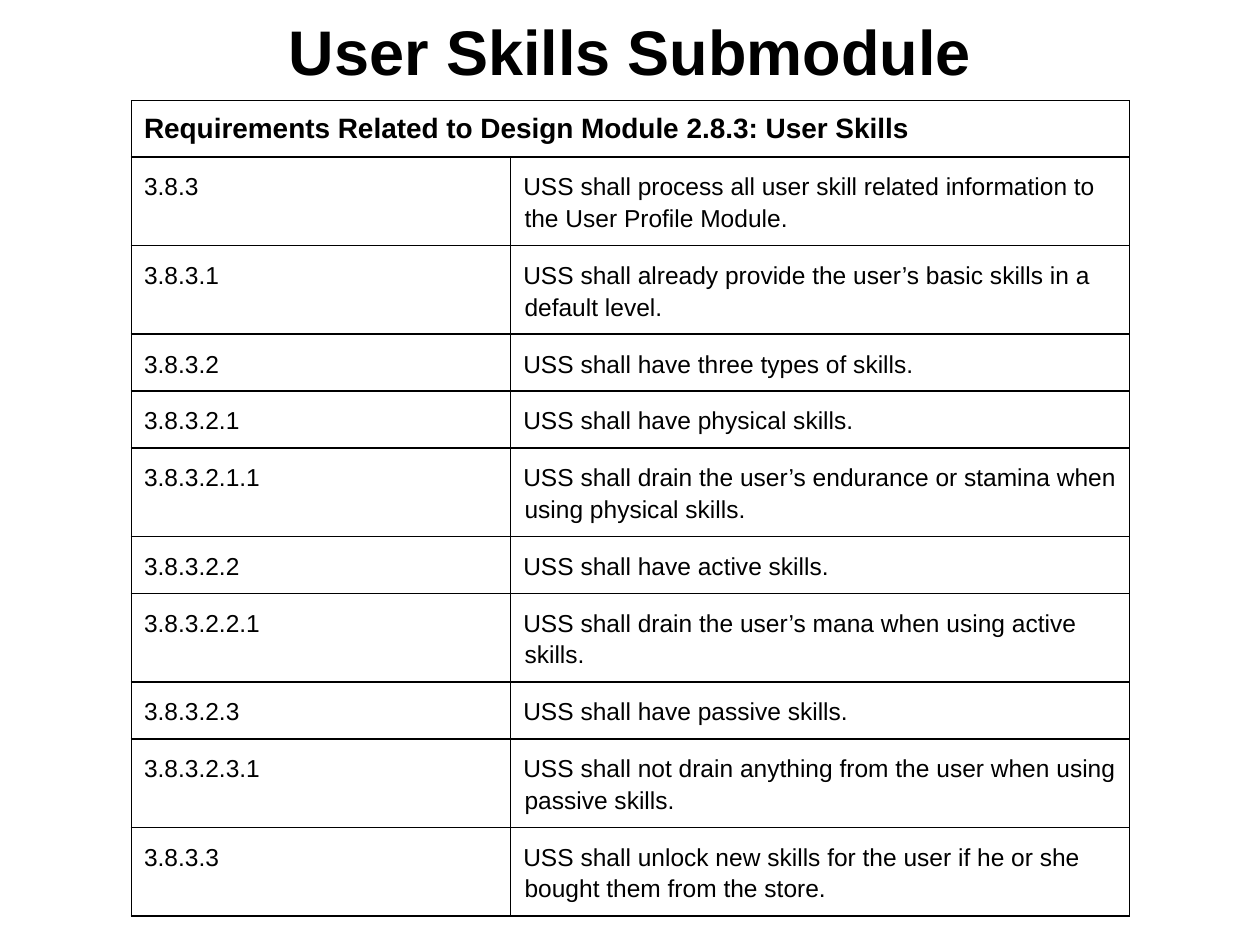
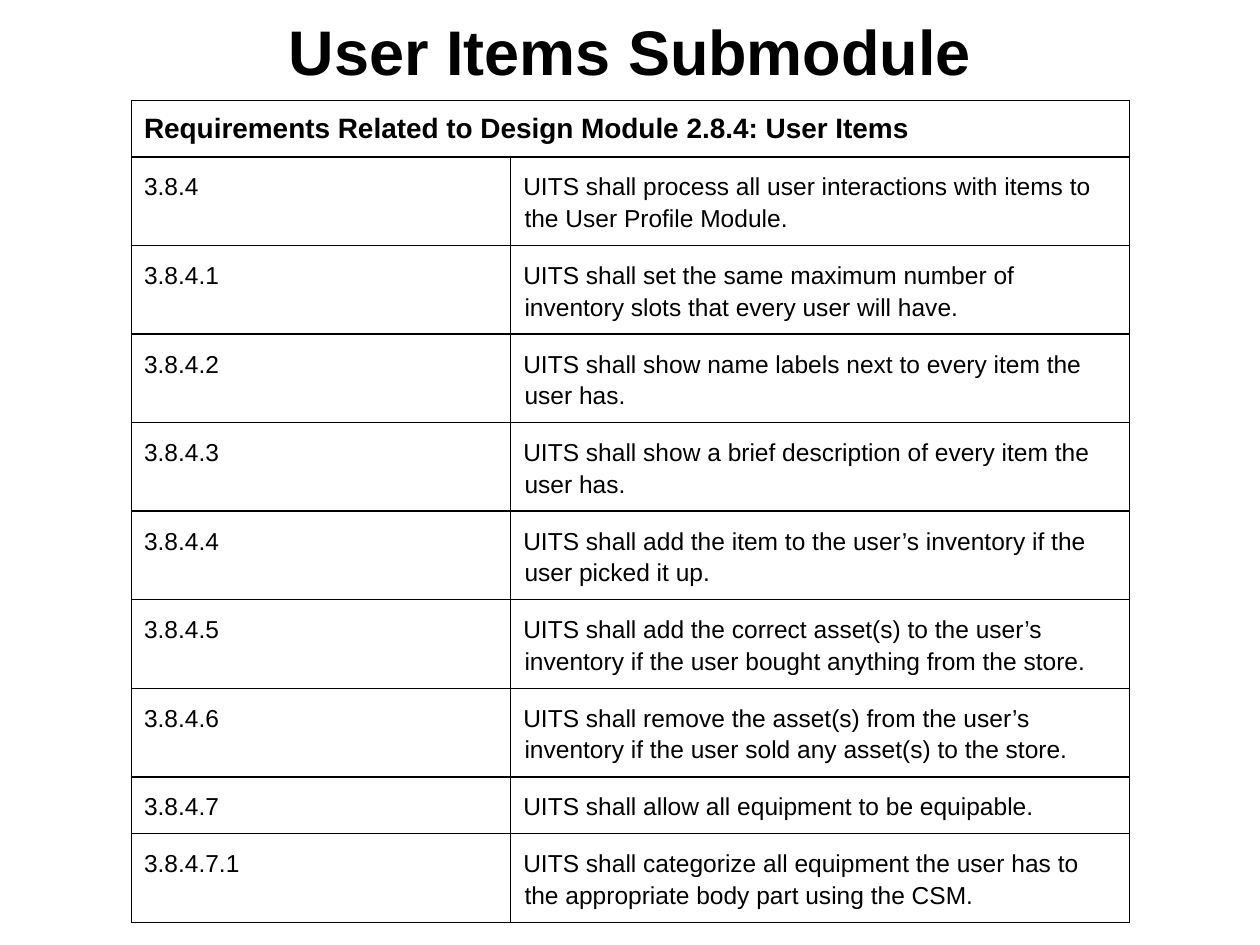
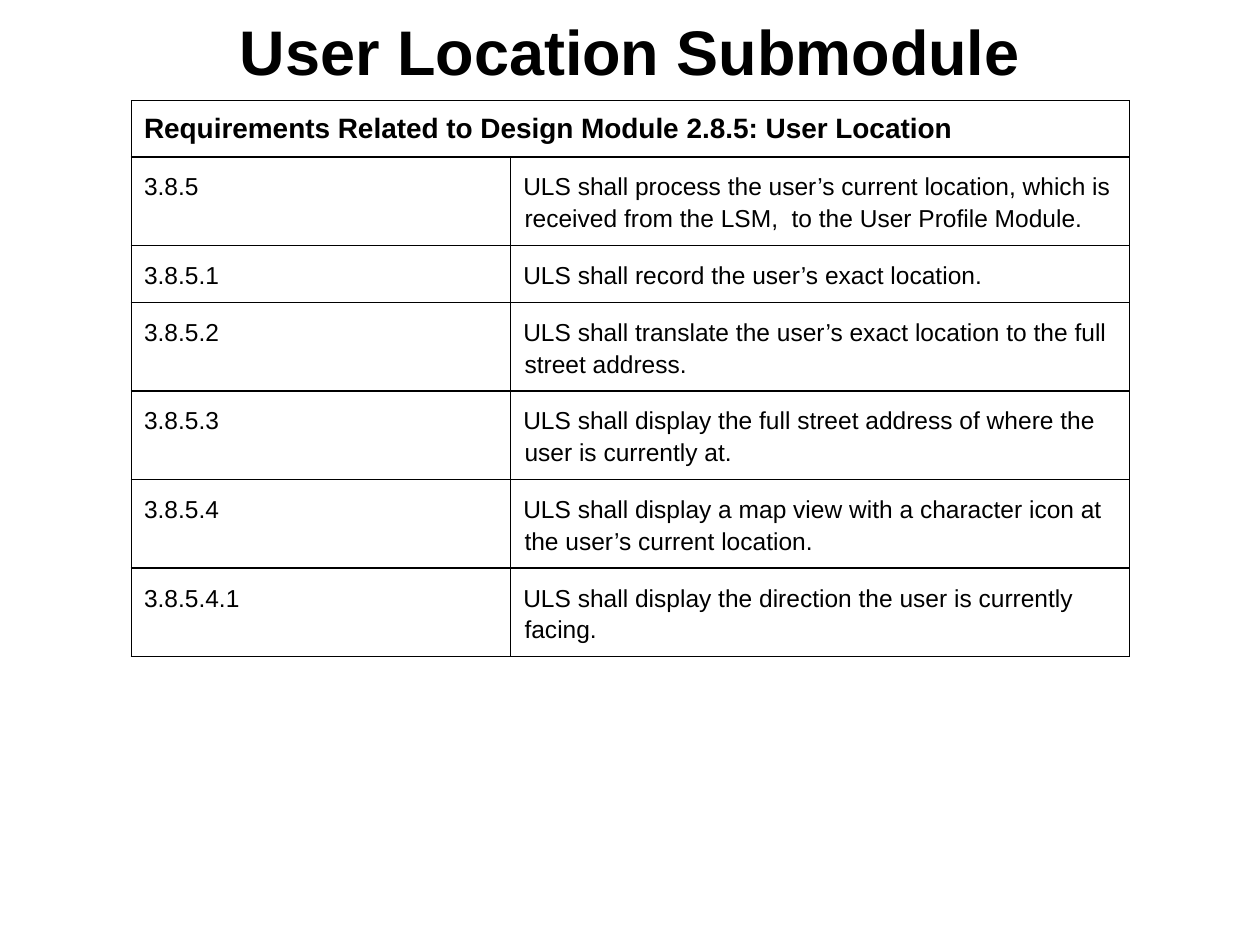
from dataclasses import dataclass
from typing import NamedTuple

from lxml.etree import SubElement
from pptx import Presentation
from pptx.dml.color import RGBColor
from pptx.enum.text import MSO_ANCHOR, MSO_AUTO_SIZE, PP_ALIGN
from pptx.oxml.ns import qn
from pptx.util import Emu, Inches, Pt

SLIDE_WIDTH, SLIDE_HEIGHT = Inches(10), Inches(7.5)
GRID_COLUMNS = 200
TITLE_ONLY_LAYOUT = 5


def grid(cells: float) -> Emu:
    return Emu(round(SLIDE_WIDTH * cells / GRID_COLUMNS))


@dataclass(frozen=True)
class Theme:
    font: str = "Arial"
    ink: RGBColor = RGBColor(0, 0, 0)
    paper: RGBColor = RGBColor(255, 255, 255)
    title_size: Pt = Pt(36)
    heading_size: Pt = Pt(16)
    body_size: Pt = Pt(14)
    heading_border: Pt = Pt(0.75)
    body_border: Pt = Pt(1)
    body_spacing: float = 1.15
    inset: Emu = grid(2)
    margin_left: Emu = grid(0.2)
    first_line_indent: Emu = grid(-1.6)


class Requirement(NamedTuple):
    number: str
    text: str
    lines: int = 2


@dataclass(frozen=True)
class Submodule:
    name: str
    design_module: str
    requirements: list[Requirement]


THEME = Theme()
TABLE_LEFT = 20.87
TABLE_FRAME = 65.6
TABLE_COLUMNS = [60.2, 98.2]
HEADING_TOP, HEADING_HEIGHT = 16, 8.4
REQUIREMENTS_TOP = 24.92
FIRST_LINE_HEIGHT, NEXT_LINE_HEIGHT = 4, 3.6

SUBMODULES = [
    Submodule("User Skills", "2.8.3", [
        Requirement("3.8.3", "USS shall process all user skill related information to the User Profile Module."),
        Requirement("3.8.3.1", "USS shall already provide the user’s basic skills in a default level."),
        Requirement("3.8.3.2", "USS shall have three types of skills.", 1),
        Requirement("3.8.3.2.1", "USS shall have physical skills.", 1),
        Requirement("3.8.3.2.1.1", "USS shall drain the user’s endurance or stamina when using physical skills."),
        Requirement("3.8.3.2.2", "USS shall have active skills.", 1),
        Requirement("3.8.3.2.2.1", "USS shall drain the user’s mana when using active skills."),
        Requirement("3.8.3.2.3", "USS shall have passive skills.", 1),
        Requirement("3.8.3.2.3.1", "USS shall not drain anything from the user when using passive skills."),
        Requirement("3.8.3.3", "USS shall unlock new skills for the user if he or she bought them from the store."),
    ]),
    Submodule("User Items", "2.8.4", [
        Requirement("3.8.4", "UITS shall process all user interactions with items to the User Profile Module."),
        Requirement("3.8.4.1", "UITS shall set the same maximum number of inventory slots that every user will have."),
        Requirement("3.8.4.2", "UITS shall show name labels next to every item the user has."),
        Requirement("3.8.4.3", "UITS shall show a brief description of every item the user has."),
        Requirement("3.8.4.4", "UITS shall add the item to the user’s inventory if the user picked it up."),
        Requirement("3.8.4.5", "UITS shall add the correct asset(s) to the user’s inventory "
                               "if the user bought anything from the store.", 3),
        Requirement("3.8.4.6", "UITS shall remove the asset(s) from the user’s inventory "
                               "if the user sold any asset(s) to the store.", 3),
        Requirement("3.8.4.7", "UITS shall allow all equipment to be equipable.", 1),
        Requirement("3.8.4.7.1", "UITS shall categorize all equipment the user has to "
                                 "the appropriate body part using the CSM."),
    ]),
    Submodule("User Location", "2.8.5", [
        Requirement("3.8.5", "ULS shall process the user’s current location, which is "
                             "received from the LSM,  to the User Profile Module."),
        Requirement("3.8.5.1", "ULS shall record the user’s exact location.", 1),
        Requirement("3.8.5.2", "ULS shall translate the user’s exact location to the full street address."),
        Requirement("3.8.5.3", "ULS shall display the full street address of where the user is currently at."),
        Requirement("3.8.5.4", "ULS shall display a map view with a character icon at the user’s current location."),
        Requirement("3.8.5.4.1", "ULS shall display the direction the user is currently facing."),
    ]),
]


def set_font(paragraph, size: Pt, bold: bool) -> None:
    font = paragraph.font
    font.name, font.size, font.bold = THEME.font, size, bold
    font.color.rgb = THEME.ink


def set_insets(target) -> None:
    target.margin_left = target.margin_right = THEME.inset
    target.margin_top = target.margin_bottom = THEME.inset


def set_borders(cell, width: Pt) -> None:
    properties = cell._tc.get_or_add_tcPr()
    for side in ("a:lnL", "a:lnR", "a:lnT", "a:lnB"):
        line = SubElement(properties, qn(side), w=str(width))
        fill = SubElement(line, qn("a:solidFill"))
        SubElement(fill, qn("a:srgbClr"), val=str(THEME.ink))


def add_title(slide, text: str) -> None:
    title = slide.shapes.title
    title.left, title.top, title.width, title.height = map(grid, (10, -9, 180, 25))
    frame = title.text_frame
    frame.text = text
    frame.word_wrap = True
    frame.auto_size = MSO_AUTO_SIZE.NONE
    frame.vertical_anchor = MSO_ANCHOR.BOTTOM
    set_insets(frame)
    paragraph = frame.paragraphs[0]
    paragraph.alignment = PP_ALIGN.CENTER
    set_font(paragraph, THEME.title_size, True)


def add_grid_table(slide, top: float, columns: list[float], heights: list[float],
                   texts: list[tuple[str, ...]], size: Pt, bold: bool, border: Pt):
    shape = slide.shapes.add_table(
        len(heights), len(columns), grid(TABLE_LEFT), grid(top),
        grid(sum(columns)), grid(sum(heights)))
    table = shape.table
    table.first_row = table.horz_banding = False
    for column, width in zip(table.columns, columns):
        column.width = grid(width)
    for row, height, row_texts in zip(table.rows, heights, texts):
        row.height = grid(height)
        for cell, text in zip(row.cells, row_texts):
            cell.text = text
            set_insets(cell)
            set_borders(cell, border)
            cell.fill.background()
            set_font(cell.text_frame.paragraphs[0], size, bold)
    shape.width = shape.height = grid(TABLE_FRAME)
    return table


def add_heading(slide, text: str) -> None:
    add_grid_table(slide, HEADING_TOP, [sum(TABLE_COLUMNS)], [HEADING_HEIGHT], [(text,)],
                   THEME.heading_size, True, THEME.heading_border)


def add_requirements(slide, requirements: list[Requirement]) -> None:
    heights = [FIRST_LINE_HEIGHT + NEXT_LINE_HEIGHT * (item.lines - 1) for item in requirements]
    texts = [(item.number, item.text) for item in requirements]
    table = add_grid_table(slide, REQUIREMENTS_TOP, TABLE_COLUMNS, heights, texts,
                           THEME.body_size, False, THEME.body_border)
    for cell in table.iter_cells():
        paragraph = cell.text_frame.paragraphs[0]
        paragraph.line_spacing = THEME.body_spacing
        properties = paragraph._p.get_or_add_pPr()
        properties.set("marL", str(THEME.margin_left))
        properties.set("indent", str(THEME.first_line_indent))


def add_submodule(presentation, submodule: Submodule) -> None:
    slide = presentation.slides.add_slide(presentation.slide_layouts[TITLE_ONLY_LAYOUT])
    add_title(slide, f"{submodule.name} Submodule")
    add_heading(slide, f"Requirements Related to Design Module {submodule.design_module}: {submodule.name}")
    add_requirements(slide, submodule.requirements)


def main() -> None:
    presentation = Presentation()
    presentation.slide_width, presentation.slide_height = SLIDE_WIDTH, SLIDE_HEIGHT
    background = presentation.slide_master.background.fill
    background.solid()
    background.fore_color.rgb = THEME.paper
    for submodule in SUBMODULES:
        add_submodule(presentation, submodule)
    presentation.save("out.pptx")


main()
